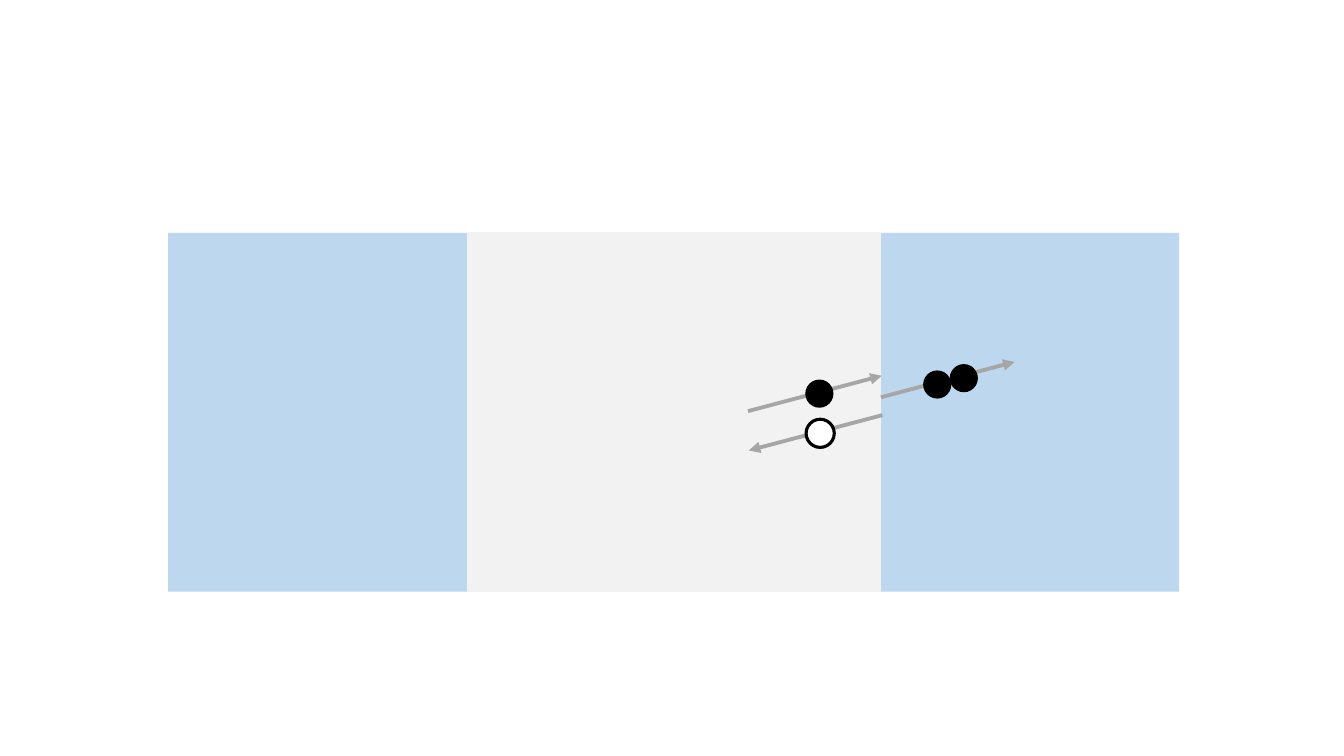
from dataclasses import dataclass

from lxml import etree
from pptx import Presentation
from pptx.dml.color import RGBColor
from pptx.enum import shapes
from pptx.oxml import ns
from pptx.util import Cm, Pt


@dataclass(frozen=True)
class Theme:
    outer: str = "BDD7EE"
    middle: str = "F2F2F2"
    arrow: str = "A6A6A6"
    black: str = "000000"
    white: str = "FFFFFF"
    arrow_width: float = 2.75


THEME = Theme()

# Content, in centimetres
# Regions: left, top, width, height, fill, outline colour, outline width
REGIONS = [
    (4.24, 5.87, 25.48, 9.04, THEME.outer, None, 0),
    (11.79, 5.87, 10.39, 9.04, THEME.middle, THEME.middle, 1),
]
# Arrows: lower left end, and which end carries the arrowhead
ARROW_RUN, ARROW_RISE = 3.37, 0.89
ARROWS = [
    (18.87, 11.35, "headEnd"),
    (22.2, 10.01, "tailEnd"),
    (18.85, 10.36, "tailEnd"),
]
# Particles: centre, fill, outline colour, outline width
DIAMETER = 0.71
PARTICLES = [
    (20.65, 9.92, THEME.black, None, 0),
    (24.29, 9.53, THEME.black, None, 0),
    (23.62, 9.69, THEME.black, None, 0),
    (20.67, 10.92, THEME.white, THEME.black, 2.25),
]


def add_figure(slide, kind, left, top, width, height, fill, outline, weight):
    shape = slide.shapes.add_shape(kind, Cm(left), Cm(top), Cm(width), Cm(height))
    shape.shadow.inherit = False
    shape.fill.solid()
    shape.fill.fore_color.rgb = RGBColor.from_string(fill)
    if outline:
        shape.line.color.rgb = RGBColor.from_string(outline)
        shape.line.width = Pt(weight)
    else:
        shape.line.fill.background()


def add_arrow(slide, left, bottom, arrow_end):
    connector = slide.shapes.add_connector(
        shapes.MSO_CONNECTOR.STRAIGHT,
        Cm(left), Cm(bottom), Cm(left + ARROW_RUN), Cm(bottom - ARROW_RISE),
    )
    connector.line.color.rgb = RGBColor.from_string(THEME.arrow)
    connector.line.width = Pt(THEME.arrow_width)
    properties = connector.element.spPr
    line = properties.find(ns.qn("a:ln"))
    etree.SubElement(line, ns.qn(f"a:{arrow_end}"), type="triangle")
    etree.SubElement(properties, ns.qn("a:effectLst"))


def main():
    presentation = Presentation()
    presentation.slide_width, presentation.slide_height = Cm(33.87), Cm(19.05)
    blank_layout = presentation.slide_layouts[6]
    slide = presentation.slides.add_slide(blank_layout)

    # Background regions
    for region in REGIONS:
        add_figure(slide, shapes.MSO_SHAPE.RECTANGLE, *region)

    # Directions of travel
    for arrow in ARROWS:
        add_arrow(slide, *arrow)

    # Particles on the arrows
    for center_x, center_y, *style in PARTICLES:
        left, top = center_x - DIAMETER / 2, center_y - DIAMETER / 2
        add_figure(slide, shapes.MSO_SHAPE.OVAL, left, top, DIAMETER, DIAMETER, *style)

    presentation.save("out.pptx")


if __name__ == "__main__":
    main()
